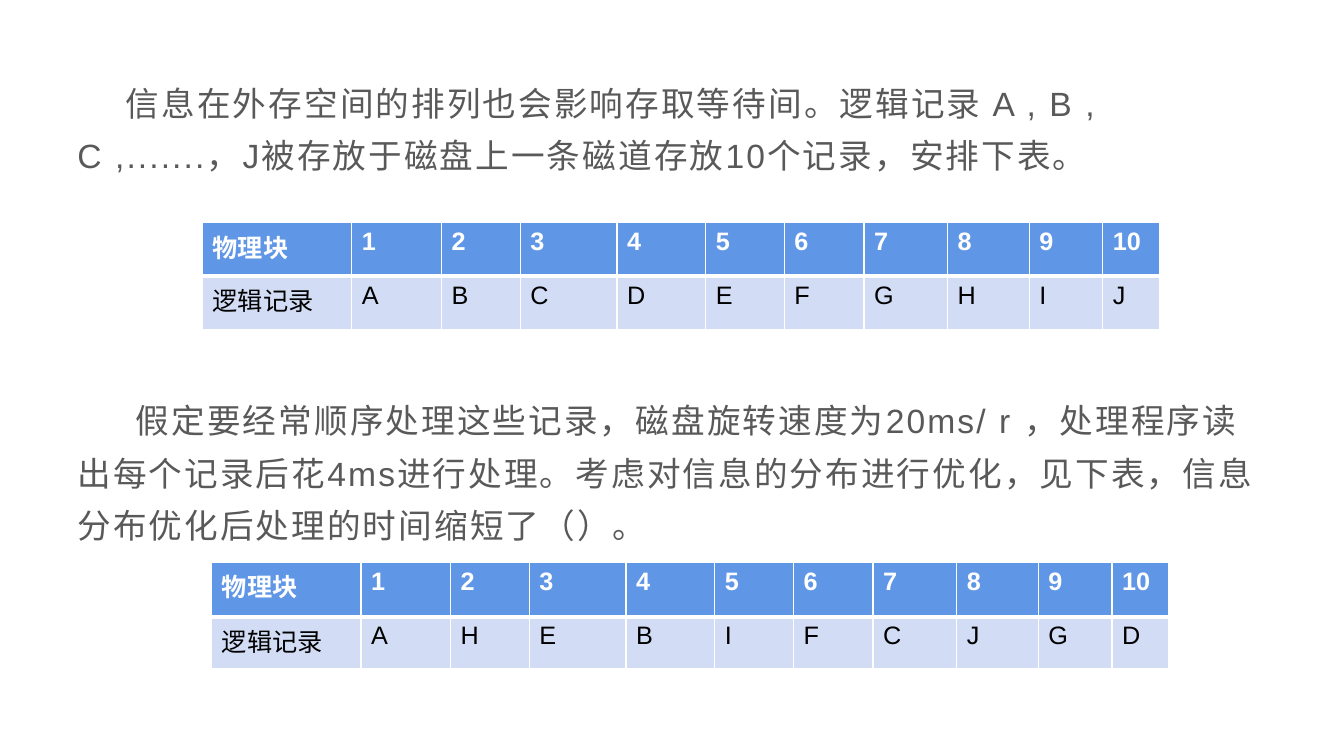
from lxml.etree import SubElement
from pptx import Presentation
from pptx.dml.color import RGBColor
from pptx.oxml.ns import qn
from pptx.util import Inches, Pt

# Content
PARAGRAPHS = [  # text, first-line indent (inches), space before (points)
    ("信息在外存空间的排列也会影响存取等待间。逻辑记录 A , B , C ,.......，"
     "J被存放于磁盘上一条磁道存放10个记录，安排下表。", 0.48, 0),
    ("假定要经常顺序处理这些记录，磁盘旋转速度为20ms/ r ，处理程序读出每个记录后花4ms"
     "进行处理。考虑对信息的分布进行优化，见下表，信息分布优化后处理的时间缩短了（）。", 0.58, 142),
]
BLOCKS = ["物理块"] + [str(number) for number in range(1, 11)]
LAYOUTS = [  # records in block order, left, top, row heights
    ("ABCDEFGHIJ", 2.01, 2.21, (0.53, 0.53)),
    ("AHEBIFCJGD", 2.1, 5.58, (0.54, 0.51)),
]
COLUMN_WIDTHS = [1.48, 0.89, 0.78, 0.96, 0.88, 0.78, 0.79, 0.83, 0.81, 0.73, 0.56]

THEME = {
    "font": "Arial", "body_size": 24, "table_size": 18, "spacing": 150,
    "body": "595959", "rule": "FFFFFF",
    "rows": [("6096E6", "FFFFFF", True), ("D2DDF5", "000000", False)],
}


def style(font, size, color, bold=False):
    font.name = THEME["font"]
    font.size = Pt(size)
    font.bold = bold
    font.color.rgb = RGBColor.from_string(color)


def set_borders(cell, widths):
    """Widths in points: left, right, top, bottom."""
    properties = cell._tc.get_or_add_tcPr()
    for position, (side, width) in enumerate(zip("LRTB", widths)):
        line = SubElement(properties, qn(f"a:ln{side}"), w=str(Pt(width)))
        properties.insert(position, line)
        fill = SubElement(line, qn("a:solidFill"))
        SubElement(fill, qn("a:srgbClr"), val=THEME["rule"])


def add_explanation(slide):
    frame = slide.shapes.add_textbox(
        Inches(0.67), Inches(0.65), Inches(12), Inches(5.2)).text_frame
    frame.word_wrap = True
    for index, (text, indent, before) in enumerate(PARAGRAPHS):
        paragraph = frame.add_paragraph() if index else frame.paragraphs[0]
        paragraph.text = text
        paragraph.line_spacing = 1.3
        paragraph.space_before = Pt(before)
        paragraph.space_after = Pt(10)
        paragraph._p.get_or_add_pPr().set("indent", str(Inches(indent)))
        for run in paragraph.runs:
            style(run.font, THEME["body_size"], THEME["body"])
            run._r.get_or_add_rPr().set("spc", str(THEME["spacing"]))


def add_layout(slide, records, left, top, heights):
    table = slide.shapes.add_table(
        2, len(BLOCKS), Inches(left), Inches(top),
        Inches(sum(COLUMN_WIDTHS)), Inches(sum(heights))).table
    for column, width in zip(table.columns, COLUMN_WIDTHS):
        column.width = Inches(width)
    for row, height in zip(table.rows, heights):
        row.height = Inches(height)

    for r, values in enumerate([BLOCKS, ["逻辑记录", *records]]):
        background, color, bold = THEME["rows"][r]
        for c, value in enumerate(values):
            cell = table.cell(r, c)
            cell.text = value
            style(cell.text_frame.paragraphs[0].runs[0].font,
                  THEME["table_size"], color, bold)
            cell.fill.solid()
            cell.fill.fore_color.rgb = RGBColor.from_string(background)
            # The rule between header and records is heavier
            set_borders(cell, (1, 1, 3, 1) if r else (1, 1, 1, 3))


def main():
    deck = Presentation()
    deck.slide_width, deck.slide_height = Inches(13.33), Inches(7.5)
    slide = deck.slides.add_slide(deck.slide_layouts[6])
    add_explanation(slide)
    for layout in LAYOUTS:
        add_layout(slide, *layout)
    deck.save("out.pptx")


if __name__ == "__main__":
    main()
